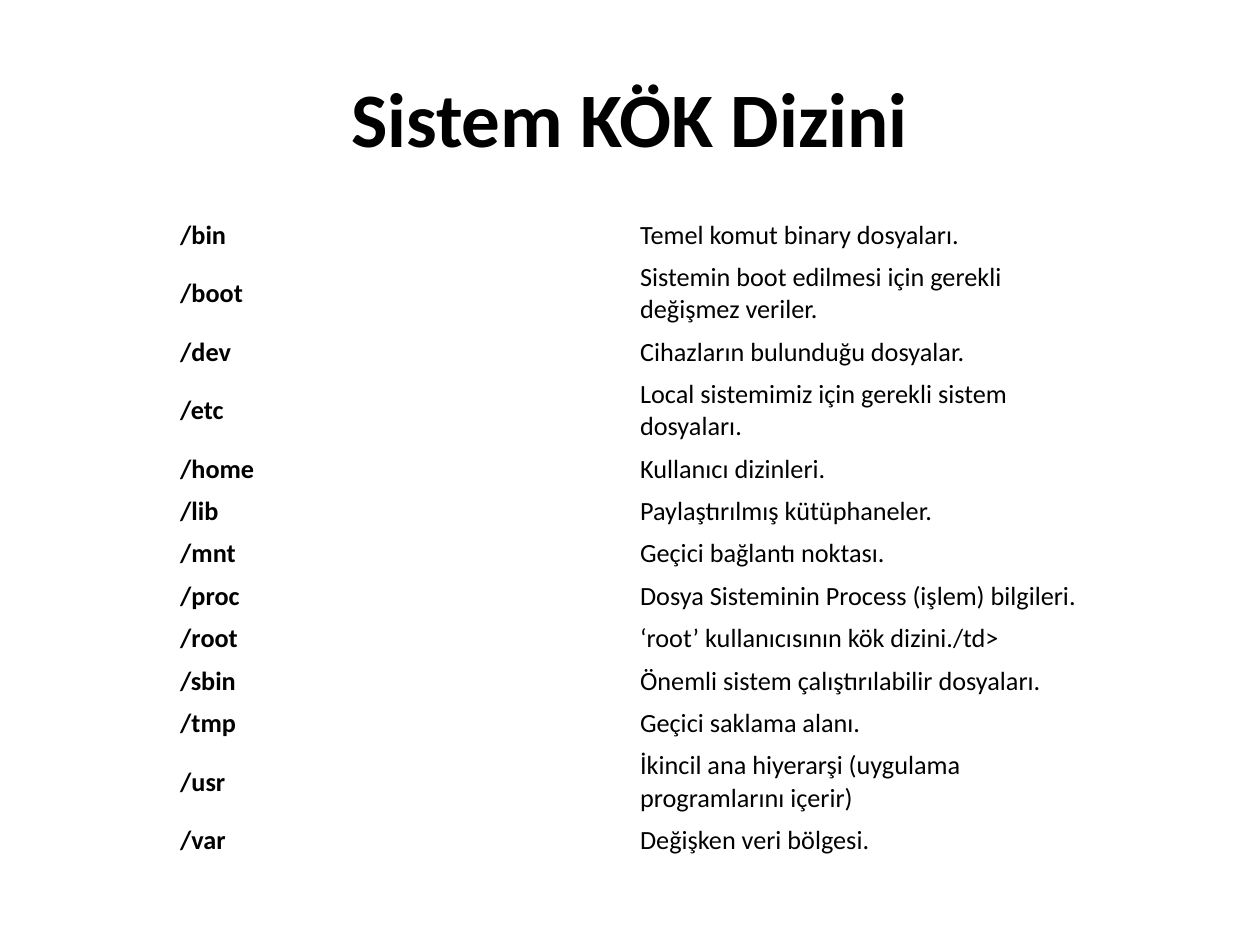
from pptx import Presentation
from pptx.dml.color import RGBColor
from pptx.enum.text import MSO_ANCHOR, PP_ALIGN
from pptx.util import Pt

MIDDLE = MSO_ANCHOR.MIDDLE
LEFT, CENTER = PP_ALIGN.LEFT, PP_ALIGN.CENTER
TITLE_ONLY = 5
COLORS = {"text": "000000", "background": "FFFFFF"}
FONT = "Calibri"
SHORT_ROW, TALL_ROW = 24.25, 42.5

# Directory, description, row height
DIRECTORIES = [
    ("/bin", "Temel komut binary dosyaları.", SHORT_ROW),
    ("/boot", "Sistemin boot edilmesi için gerekli değişmez veriler.", TALL_ROW),
    ("/dev", "Cihazların bulunduğu dosyalar.", SHORT_ROW),
    ("/etc", "Local sistemimiz için gerekli sistem dosyaları.", TALL_ROW),
    ("/home", "Kullanıcı dizinleri.", SHORT_ROW),
    ("/lib", "Paylaştırılmış kütüphaneler.", SHORT_ROW),
    ("/mnt", "Geçici bağlantı noktası.", SHORT_ROW),
    ("/proc", "Dosya Sisteminin Process (işlem) bilgileri.", SHORT_ROW),
    ("/root", "‘root’ kullanıcısının kök dizini./td>", SHORT_ROW),
    ("/sbin", "Önemli sistem çalıştırılabilir dosyaları.", SHORT_ROW),
    ("/tmp", "Geçici saklama alanı.", SHORT_ROW),
    ("/usr", "İkincil ana hiyerarşi (uygulama programlarını içerir)", TALL_ROW),
    ("/var", "Değişken veri bölgesi.", SHORT_ROW),
]


def write_text(frame, text, size, bold=False, align=LEFT):
    para = frame.paragraphs[0]
    para.alignment = align
    span = para.add_run()
    span.text = text
    span.font.name = FONT
    span.font.size = Pt(size)
    span.font.bold = bold
    span.font.color.rgb = RGBColor.from_string(COLORS["text"])


deck = Presentation()
deck.slide_width, deck.slide_height = Pt(720), Pt(540)
page = deck.slides.add_slide(deck.slide_layouts[TITLE_ONLY])
page.background.fill.solid()
page.background.fill.fore_color.rgb = RGBColor.from_string(COLORS["background"])

# Title
title = page.shapes.title
title.left, title.top, title.width, title.height = Pt(36), Pt(21.6), Pt(648), Pt(90)
title.text_frame.vertical_anchor = MIDDLE
write_text(title.text_frame, "Sistem KÖK Dizini", size=44, bold=True, align=CENTER)

# Directory table
table_height = sum(height for _, _, height in DIRECTORIES)
table = page.shapes.add_table(
    len(DIRECTORIES), 2, Pt(97.2), Pt(122.4), Pt(525.6), Pt(table_height)
).table
table.first_row = False
table.horz_banding = False

for row, (directory, description, height) in zip(table.rows, DIRECTORIES):
    row.height = Pt(height)
    for cell, text, bold in zip(row.cells, (directory, description), (True, False)):
        cell.fill.solid()
        cell.fill.fore_color.rgb = RGBColor.from_string(COLORS["background"])
        cell.vertical_anchor = MIDDLE
        cell.margin_left = cell.margin_right = Pt(5.8)
        cell.margin_top = cell.margin_bottom = Pt(2.9)
        write_text(cell.text_frame, text, size=15, bold=bold)

deck.save("out.pptx")
